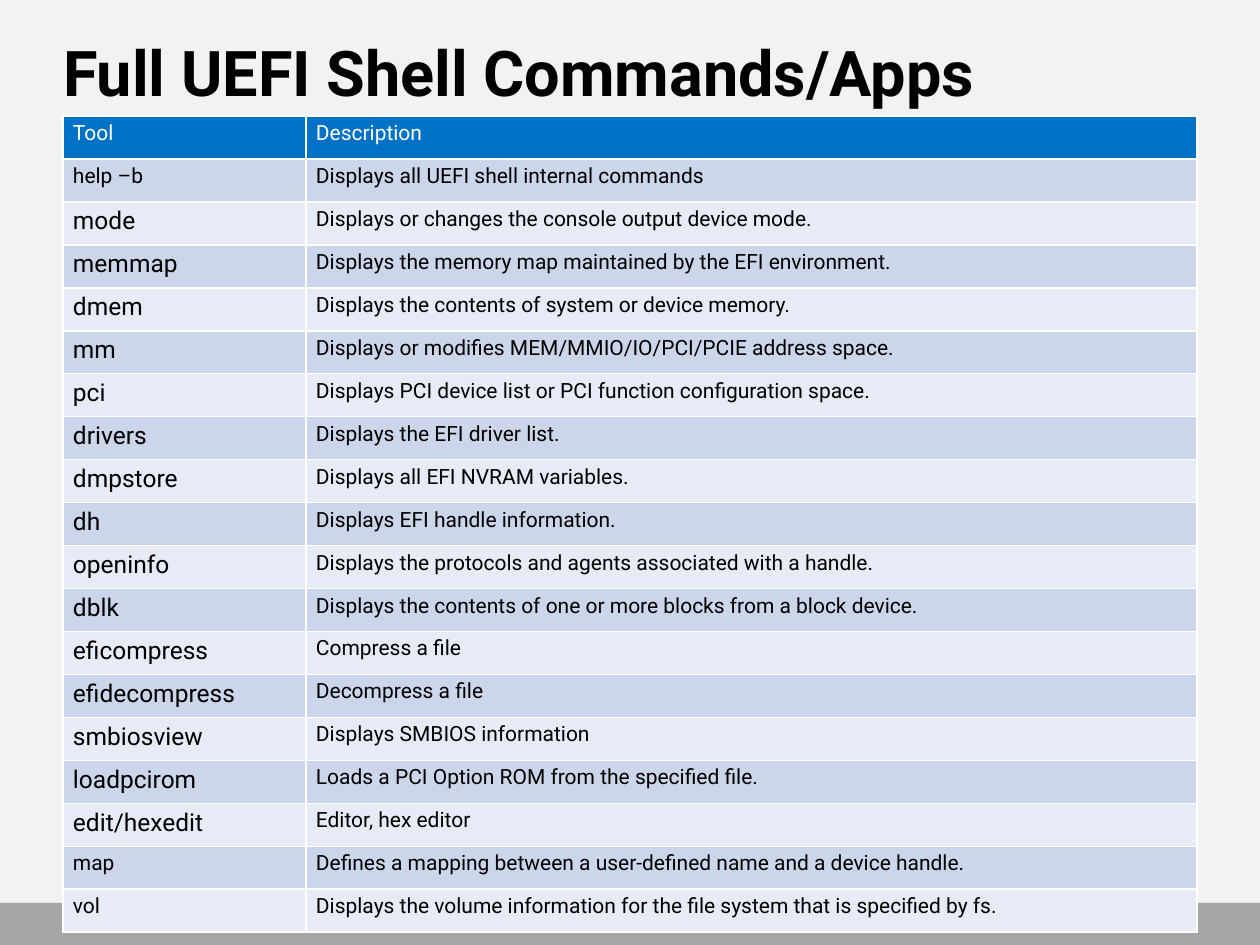
from dataclasses import dataclass

from lxml.etree import SubElement
from pptx import Presentation
from pptx.dml.color import RGBColor
from pptx.enum.shapes import MSO_SHAPE
from pptx.enum.text import MSO_ANCHOR, PP_ALIGN
from pptx.oxml.ns import qn
from pptx.util import Emu, Pt


@dataclass(frozen=True)
class Theme:
    font: str = "Roboto"
    background: str = "F2F2F2"
    footer: str = "A6A6A6"
    header: str = "0071C5"
    bands: tuple = ("CCD5EA", "E7EBF5")
    ink: str = "000000"
    white: str = "FFFFFF"
    title_size: int = 36
    command_size: int = 14
    body_size: int = 12
    border_width: int = 1


THEME = Theme()
EMU_PER_PX = 914400 / 126


def px(length):
    return Emu(round(length * EMU_PER_PX))


def add_text(paragraph, text, size, color, bold=False):
    run = paragraph.add_run()
    run.text = text
    run.font.name = THEME.font
    run.font.size = Pt(size)
    run.font.bold = bold
    run.font.color.rgb = RGBColor.from_string(color)


COMMANDS = [
    ("help –b", "Displays all UEFI shell internal commands"),
    ("mode", "Displays or changes the console output device mode."),
    ("memmap", "Displays the memory map maintained by the EFI environment."),
    ("dmem", "Displays the contents of system or device memory."),
    ("mm", "Displays or modifies MEM/MMIO/IO/PCI/PCIE address space."),
    ("pci", "Displays PCI device list or PCI function configuration space."),
    ("drivers", "Displays the EFI driver list."),
    ("dmpstore", "Displays all EFI NVRAM variables."),
    ("dh", "Displays EFI handle information."),
    ("openinfo", "Displays the protocols and agents associated with a handle."),
    ("dblk", "Displays the contents of one or more blocks from a block device."),
    ("eficompress", "Compress a file"),
    ("efidecompress", "Decompress a file"),
    ("smbiosview", "Displays SMBIOS information"),
    ("loadpcirom", "Loads a PCI Option ROM from the specified file."),
    ("edit/hexedit", "Editor, hex editor"),
    ("map", "Defines a mapping between a user-defined name and a device handle."),
    ("vol", "Displays the volume information for the file system that is specified by fs."),
]
SMALL_TOOLS = {"Tool", "help –b", "map", "vol"}
ROWS = [("Tool", "Description")] + COMMANDS
COLUMN_WIDTHS = (243, 891)
ROW_HEIGHT = 43

# Slide and background
prs = Presentation()
prs.slide_width, prs.slide_height = px(1260), px(945)
slide = prs.slides.add_slide(prs.slide_layouts[5])
slide.background.fill.solid()
slide.background.fill.fore_color.rgb = RGBColor.from_string(THEME.background)

# Footer bar
footer = slide.shapes.add_shape(MSO_SHAPE.RECTANGLE, px(0), px(903), px(1260), px(42))
footer.shadow.inherit = False
footer.fill.solid()
footer.fill.fore_color.rgb = RGBColor.from_string(THEME.footer)
footer.line.fill.background()

# Title
title = slide.shapes.title
title.left, title.top, title.width, title.height = px(63), px(34), px(1134), px(136)
heading = title.text_frame
heading.margin_left = heading.margin_right = heading.margin_top = heading.margin_bottom = 0
heading.vertical_anchor = MSO_ANCHOR.TOP
heading.word_wrap = True
heading.paragraphs[0].alignment = PP_ALIGN.LEFT
add_text(heading.paragraphs[0], "Full UEFI Shell Commands/Apps", THEME.title_size, THEME.ink, bold=True)

# Command table
commands = slide.shapes.add_table(
    len(ROWS), len(COLUMN_WIDTHS), px(63), px(116),
    px(sum(COLUMN_WIDTHS)), px(ROW_HEIGHT * len(ROWS)),
).table
for column, width in zip(commands.columns, COLUMN_WIDTHS):
    column.width = px(width)

for row_index, entry in enumerate(ROWS):
    commands.rows[row_index].height = px(ROW_HEIGHT)
    is_header = row_index == 0
    fill = THEME.header if is_header else THEME.bands[(row_index - 1) % 2]
    color = THEME.white if is_header else THEME.ink
    for column_index, text in enumerate(entry):
        cell = commands.cell(row_index, column_index)
        cell.margin_left = cell.margin_right = px(10)
        cell.margin_top = cell.margin_bottom = px(5)

        # Borders come before the fill in the cell properties
        properties = cell._tc.get_or_add_tcPr()
        for side in ("a:lnL", "a:lnR", "a:lnT", "a:lnB"):
            border = SubElement(properties, qn(side), w=str(Pt(THEME.border_width)))
            border_fill = SubElement(border, qn("a:solidFill"))
            SubElement(border_fill, qn("a:srgbClr"), val=THEME.white)
        cell.fill.solid()
        cell.fill.fore_color.rgb = RGBColor.from_string(fill)

        is_large = column_index == 0 and text not in SMALL_TOOLS
        size = THEME.command_size if is_large else THEME.body_size
        add_text(cell.text_frame.paragraphs[0], text, size, color)

prs.save("out.pptx")
